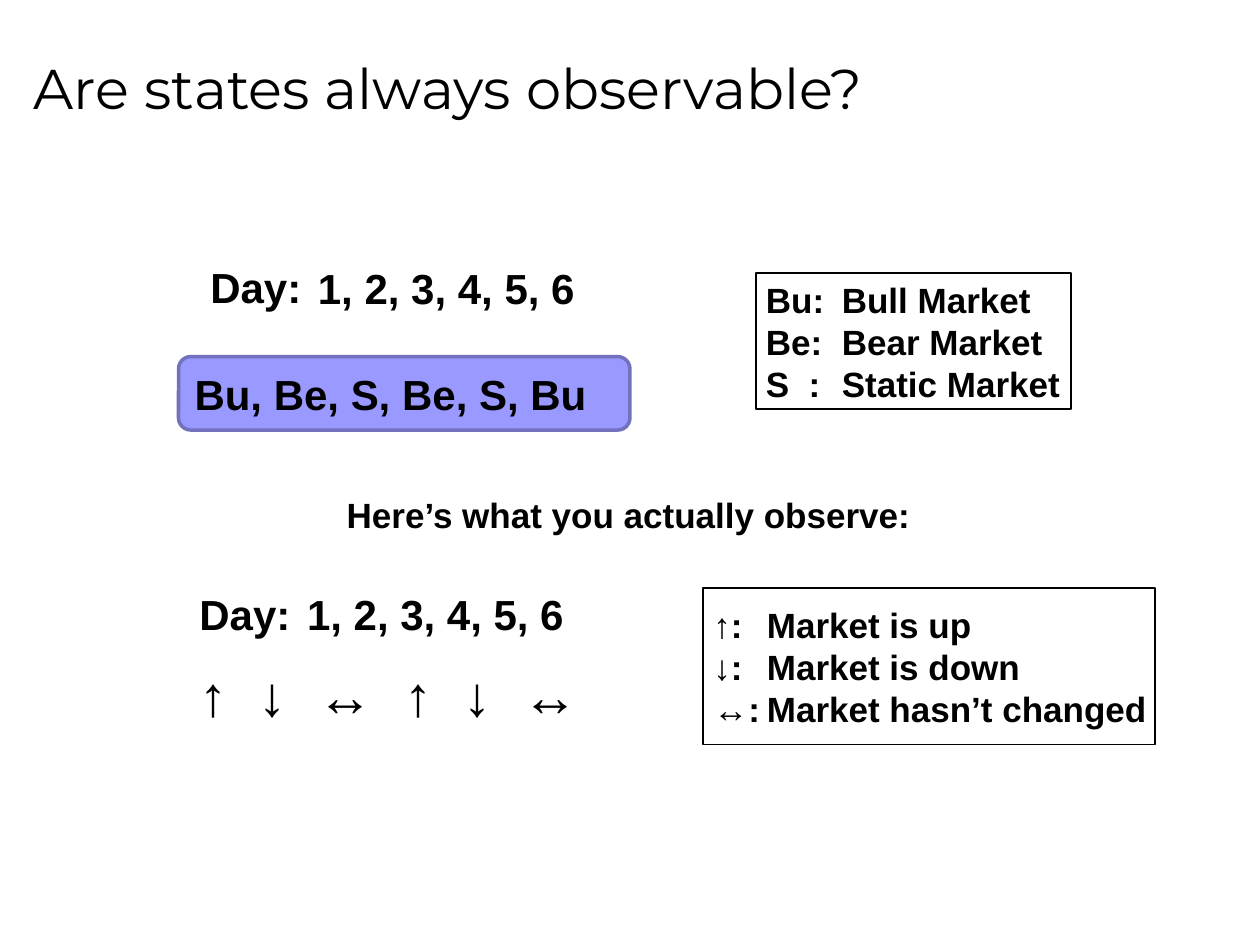
from pptx import Presentation
from pptx.dml.color import RGBColor
from pptx.enum.shapes import MSO_SHAPE
from pptx.enum.text import MSO_ANCHOR, PP_ALIGN
from pptx.oxml.ns import qn
from pptx.util import Cm, Pt

RECT = MSO_SHAPE.RECTANGLE
ROUND = MSO_SHAPE.ROUNDED_RECTANGLE
MIDDLE = MSO_ANCHOR.MIDDLE
LEFT = PP_ALIGN.LEFT


def color(code):
    return RGBColor.from_string(code)


def put(target, values):
    for name, value in values.items():
        setattr(target, name, value)


class Deck:
    ink = "000000"
    font = "Arial"

    def __init__(self):
        self.file = Presentation()
        put(self.file, {"slide_width": Cm(25.4), "slide_height": Cm(19.05)})
        self.slide = self.file.slides.add_slide(self.file.slide_layouts[5])

    def fill(self, frame, lines, size, pad=0, wrap=True, stops=(),
             font=font, bold=True):
        """Write the lines; pad is the left inset in cm."""
        put(frame, {"margin_left": Cm(pad), "margin_right": 0,
                    "margin_top": 0, "margin_bottom": 0,
                    "vertical_anchor": MIDDLE, "word_wrap": wrap})
        frame.text = "\n".join(lines)
        for para in frame.paragraphs:
            para.alignment = LEFT
            for run in para.runs:
                put(run.font, {"name": font, "size": Pt(size), "bold": bold})
                run.font.color.rgb = color(self.ink)
            if stops:
                self.tabs(para, stops)

    def tabs(self, para, stops):
        props = para._p.get_or_add_pPr()
        tabs = props.makeelement(qn("a:tabLst"), {})
        props.append(tabs)
        for stop in stops:
            spot = {"pos": str(int(Cm(stop))), "algn": "l"}
            tabs.append(tabs.makeelement(qn("a:tab"), spot))

    def title(self, text, box):
        shape = self.slide.shapes.title
        put(shape, dict(zip(("left", "top", "width", "height"), map(Cm, box))))
        self.fill(shape.text_frame, [text], 32, pad=0.25,
                  font="Montserrat", bold=False)

    def text(self, text, box, size, home=None, **style):
        shapes = home or self.slide.shapes
        shape = shapes.add_textbox(*map(Cm, box))
        self.fill(shape.text_frame, [text], size, **style)

    def days(self, left, top):
        home = self.slide.shapes.add_group_shape().shapes
        self.text("Day:", (left, top, 1.85, 1.02), 24, home, wrap=False)
        self.text("1, 2, 3, 4, 5, 6", (left + 2.17, top, 5.72, 1.02), 24, home)

    def panel(self, lines, box, size, kind=RECT, back=None, edge=ink,
              width=1, **style):
        shape = self.slide.shapes.add_shape(kind, *map(Cm, box))
        shape.shadow.inherit = False
        if back:
            shape.fill.solid()
            shape.fill.fore_color.rgb = color(back)
        else:
            shape.fill.background()
        shape.line.color.rgb = color(edge)
        shape.line.width = Pt(width)
        self.fill(shape.text_frame, lines, size, **style)


def main():
    deck = Deck()
    deck.title("Are states always observable?", (0.43, 0.33, 24.13, 2.84))

    deck.days(4.24, 5.28)
    deck.panel(["Bu, Be, S, Be, S, Bu"], (3.6, 7.19, 9.1, 1.48), 24, ROUND,
               "9999FF", "7171BD", 2, pad=0.25)
    deck.panel(["Bu:\tBull Market", "Be:\tBear Market", "S\t:\tStatic Market"],
               (15.24, 5.5, 6.35, 2.75), 20, pad=0.2, stops=(0.86, 1.53))

    deck.text("Here’s what you actually observe:", (6.99, 9.95, 11.45, 0.86),
              20, wrap=False)

    deck.days(4.02, 11.86)
    deck.text("↑\t↓\t↔\t↑\t↓\t↔", (4.02, 13.3, 8.05, 1.37), 32,
              stops=(1.19, 2.38, 4.13, 5.32, 6.51))
    deck.panel(["↑:\tMarket is up", "↓:\tMarket is down",
                "↔:\tMarket hasn’t changed"],
               (14.18, 11.86, 9.1, 3.15), 20, pad=0.2, stops=(1.08,))

    deck.file.save("out.pptx")


if __name__ == "__main__":
    main()
